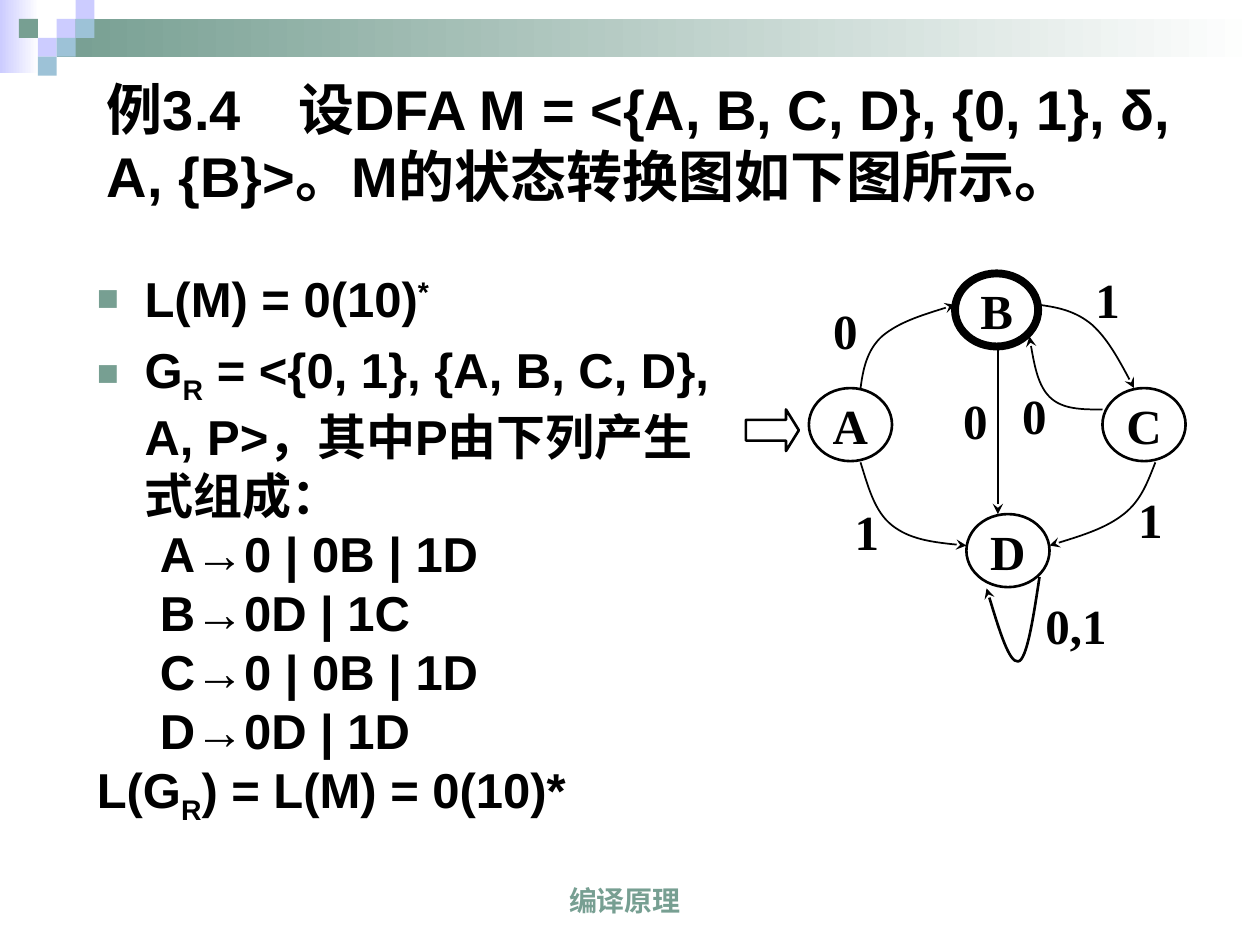
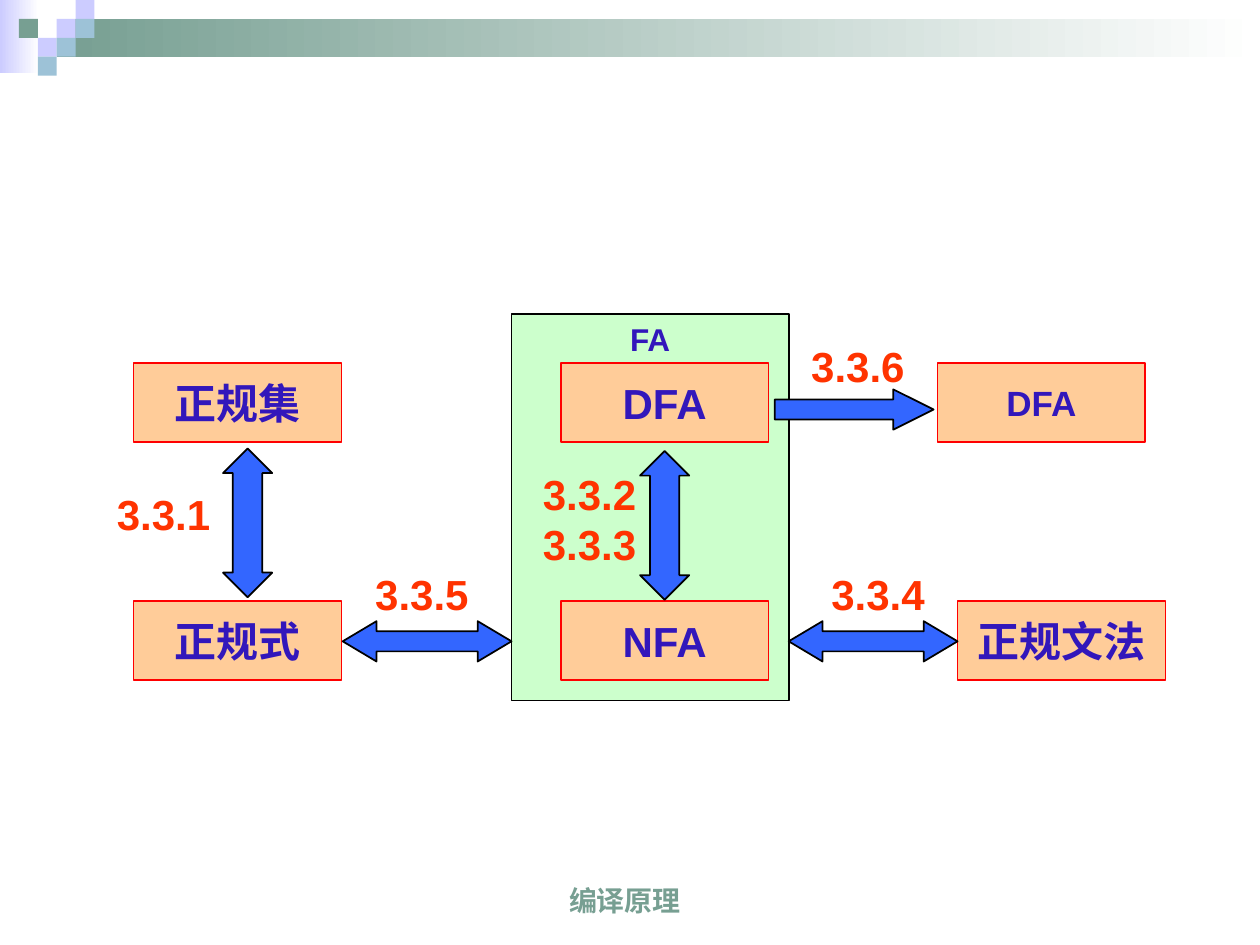
from dataclasses import dataclass

from lxml.etree import SubElement
from pptx import Presentation
from pptx.dml.color import RGBColor
from pptx.enum.shapes import MSO_CONNECTOR, MSO_SHAPE
from pptx.enum.text import MSO_ANCHOR, PP_ALIGN
from pptx.oxml.ns import qn
from pptx.util import Inches, Pt

GREEN, LILAC, SKY = "779F92", "CCCCFF", "9DC2D7"
BLACK, WHITE, RED = "000000", "FFFFFF", "FF0000"
INDIGO, ORANGE, PEACH = "3217BB", "FF3300", "FFCC99"
MINT, BLUE = "CCFFCC", "3366FF"


@dataclass
class Box:
    left: float
    top: float
    width: float
    height: float

    def inner(self, left, top, width, height):
        return Box(self.left + left, self.top + top, width, height)

    def point(self, x, y):
        return Inches(self.left + x), Inches(self.top + y)

    def lengths(self):
        return [Inches(v) for v in (self.left, self.top, self.width, self.height)]


@dataclass
class Style:
    size: float
    color: str = BLACK
    font: str = "Arial"


STATE_TEXT = Style(28, BLACK, "Times New Roman")
NODE_TEXT = Style(24, INDIGO)
SECTION_TEXT = Style(24, ORANGE)


def rgb(color):
    return RGBColor.from_string(color)


def add_span(para, text, style, baseline=0):
    span = para.add_run()
    span.text = text
    font = span.font
    font.size, font.bold, font.name = Pt(style.size), True, style.font
    font.color.rgb = rgb(style.color)
    if baseline:
        span.font._element.set("baseline", str(baseline * 1000))


def write(shape, lines, style, align=PP_ALIGN.CENTER, anchor=MSO_ANCHOR.MIDDLE, wrap=False):
    frame = shape.text_frame
    frame.word_wrap = wrap
    frame.vertical_anchor = anchor
    for number, line in enumerate(lines):
        para = frame.add_paragraph() if number else frame.paragraphs[0]
        para.alignment = align
        add_span(para, line, style)


def add_text(page, box, lines, style, **layout):
    shape = page.shapes.add_textbox(*box.lengths())
    write(shape, lines, style, **layout)
    return shape


def paint(shape, fill=None, line=None, weight=1):
    shape.shadow.inherit = False
    if fill:
        shape.fill.solid()
        shape.fill.fore_color.rgb = rgb(fill)
    else:
        shape.fill.background()
    if line:
        shape.line.color.rgb = rgb(line)
        shape.line.width = Pt(weight)
    else:
        shape.line.fill.background()


def add_figure(page, kind, box, fill=None, line=None, weight=1, adjust=()):
    shape = page.shapes.add_shape(kind, *box.lengths())
    paint(shape, fill, line, weight)
    for index, value in enumerate(adjust):
        shape.adjustments[index] = value
    return shape


def add_fade(page, box, color):
    shape = add_figure(page, MSO_SHAPE.RECTANGLE, box)
    shape.fill.gradient()
    shape.fill.gradient_angle = 0
    for stop, shade in zip(shape.fill.gradient_stops, (color, WHITE)):
        stop.color.rgb = rgb(shade)


def add_arrowhead(shape):
    SubElement(shape.line._get_or_add_ln(), qn("a:tailEnd"), type="stealth")


def add_curve(page, box, points, weight=1):
    start, *rest = [box.point(*point) for point in points]
    builder = page.shapes.build_freeform(*start, scale=1.0)
    builder.add_line_segments(rest, close=False)
    shape = builder.convert_to_shape()
    outline = next(shape._element.iter(qn("a:path")))
    segments = outline.findall(qn("a:lnTo"))
    for first in range(0, len(segments), 3):
        bezier = SubElement(outline, qn("a:cubicBezTo"))
        for segment in segments[first:first + 3]:
            bezier.append(segment[0])
            outline.remove(segment)
    paint(shape, None, BLACK, weight)
    add_arrowhead(shape)


def add_header(page, box):
    add_fade(page, box.inner(0, 0, 0.31, 0.58), LILAC)
    add_fade(page, box.inner(0.45, 0.15, 9.55, 0.3), GREEN)
    tiles = [(3, 1, LILAC), (4, 0, LILAC), (4, 1, SKY), (2, 2, LILAC),
             (1, 1, GREEN), (3, 2, SKY), (2, 3, SKY)]
    for column, row, color in tiles:
        tile = box.inner(column * 0.15, row * 0.15, 0.15, 0.15)
        add_figure(page, MSO_SHAPE.RECTANGLE, tile, color)


def add_page(deck):
    page = deck.slides.add_slide(deck.slide_layouts[6])
    add_header(page, Box(0, 0, 10, 0.6))
    add_text(page, Box(3.19, 6.83, 3.54, 0.5), ["编译原理"], Style(16, GREEN),
             anchor=MSO_ANCHOR.BOTTOM, wrap=True)
    return page


def indent(para, margin, hanging):
    properties = para._p.get_or_add_pPr()
    properties.set("marL", str(Inches(margin)))
    properties.set("indent", str(-Inches(hanging)))
    return properties


def add_bullet(properties):
    color = SubElement(properties, qn("a:buClr"))
    SubElement(color, qn("a:srgbClr"), val=GREEN)
    SubElement(properties, qn("a:buSzPct"), val="75000")
    SubElement(properties, qn("a:buFont"), typeface="Arial")
    SubElement(properties, qn("a:buChar"), char="■")


def add_title(page, box):
    title = add_text(
        page, box,
        ["例3.4\t设DFA M = <{A, B, C, D}, {0, 1}, δ, A, {B}>。M的状态转换图如下图所示。"],
        Style(32), align=PP_ALIGN.LEFT, wrap=True)
    properties = title.text_frame.paragraphs[0]._p.get_or_add_pPr()
    stops = SubElement(properties, qn("a:tabLst"))
    SubElement(stops, qn("a:tab"), pos=str(Inches(1.52)), algn="l")


def add_grammar(page, box):
    bulleted = [
        [("L(M) = 0(10)", 0), ("*", 30)],
        [("G", 0), ("R", -25),
         (" = <{0, 1}, {A, B, C, D}, A, P>，其中P由下列产生式组成：", 0)],
    ]
    rules = ["A→0 | 0B | 1D", "B→0D | 1C", "C→0 | 0B | 1D", "D→0D | 1D"]
    conclusion = [("L(G", 0), ("R", -25), (") = L(M) = 0(10)*", 0)]
    lines = ([(spans, 0.38, 0.38, True) for spans in bulleted]
             + [([(rule, 0)], 0.81, 0.31, False) for rule in rules]
             + [(conclusion, 0.38, 0.38, False)])
    frame = page.shapes.add_textbox(*box.lengths()).text_frame
    frame.word_wrap = True
    for number, (spans, margin, hanging, marked) in enumerate(lines):
        para = frame.add_paragraph() if number else frame.paragraphs[0]
        properties = indent(para, margin, hanging)
        if marked:
            add_bullet(properties)
            para.space_before = Pt(7 if number else 0)
        for text, baseline in spans:
            add_span(para, text, Style(28), baseline)


def add_automaton(page, box):
    states = [("A", 0.5, 1, 1.5), ("B", 1.66, 0.09, 4.5),
              ("C", 2.83, 1, 1.5), ("D", 1.75, 2, 1.5)]
    for name, left, top, weight in states:
        state = add_figure(page, MSO_SHAPE.OVAL, box.inner(left, top, 0.66, 0.58),
                           None, BLACK, weight)
        write(state, [name], STATE_TEXT)

    inputs = [("1", 2.41, 0), ("0", 0.33, 0.25), ("0,1", 2.16, 2.59), ("1", 0.5, 1.84),
              ("1", 2.75, 1.75), ("0", 1.83, 0.92), ("0", 1.36, 0.96)]
    for symbol, left, top in inputs:
        add_text(page, box.inner(left, top, 0.92, 0.58), [symbol], STATE_TEXT)

    loop = [(2.33, 2.5), (2.28, 2.83), (2.23, 3.16), (2.16, 3.17),
            (2.09, 3.18), (2, 2.89), (1.91, 2.59)]
    add_curve(page, box, loop, 1.5)
    transitions = {
        "A to B": [(0.91, 1), (0.93, 0.85), (0.96, 0.7), (1.08, 0.59),
                   (1.21, 0.48), (1.43, 0.41), (1.66, 0.34)],
        "A to D": [(0.91, 1.59), (0.97, 1.78), (1.02, 1.98), (1.16, 2.09),
                   (1.3, 2.2), (1.52, 2.23), (1.75, 2.25)],
        "C to B": [(2.83, 1.17), (2.67, 1.17), (2.51, 1.17), (2.41, 1.07),
                   (2.32, 0.98), (2.28, 0.78), (2.25, 0.59)],
        "B to C": [(2.33, 0.34), (2.48, 0.36), (2.62, 0.39), (2.75, 0.5),
                   (2.87, 0.61), (2.98, 0.81), (3.08, 1)],
        "C to D": [(3.25, 1.59), (3.19, 1.74), (3.14, 1.89), (3, 2),
                   (2.86, 2.11), (2.64, 2.18), (2.41, 2.25)],
    }
    for points in transitions.values():
        add_curve(page, box, points)

    drop = page.shapes.add_connector(MSO_CONNECTOR.STRAIGHT,
                                     *box.point(2, 0.67), *box.point(2, 2))
    drop.line.color.rgb = rgb(BLACK)
    drop.line.width = Pt(1)
    add_arrowhead(drop)
    SubElement(drop._element.spPr, qn("a:effectLst"))
    add_figure(page, MSO_SHAPE.RIGHT_ARROW, box.inner(0, 1.17, 0.42, 0.33),
               None, BLACK, 1.5, (0.5, 0.31))


def add_equivalence_map(page, box):
    automata = add_figure(page, MSO_SHAPE.RECTANGLE, box.inner(3, 0, 2.2, 3.07), MINT, BLACK)
    write(automata, ["FA"], Style(18, INDIGO), anchor=MSO_ANCHOR.TOP)

    upper, lower = 0.39, 2.28
    nodes = [("正规集", 0, upper, NODE_TEXT), ("正规式", 0, lower, NODE_TEXT),
             ("DFA", 3.39, upper, NODE_TEXT), ("NFA", 3.39, lower, NODE_TEXT),
             ("正规文法", 6.54, lower, NODE_TEXT), ("DFA", 6.38, upper, Style(20, INDIGO))]
    for name, left, top, style in nodes:
        node = add_figure(page, MSO_SHAPE.RECTANGLE, box.inner(left, top, 1.65, 0.63),
                          PEACH, RED)
        write(node, [name], style)

    arrows = [
        (MSO_SHAPE.LEFT_RIGHT_ARROW, 1.66, 2.44, 1.34, 0.32, 0.84),
        (MSO_SHAPE.LEFT_RIGHT_ARROW, 5.2, 2.44, 1.34, 0.32, 0.84),
        (MSO_SHAPE.UP_DOWN_ARROW, 0.71, 1.07, 0.39, 1.18, 0.6),
        (MSO_SHAPE.UP_DOWN_ARROW, 4.02, 1.09, 0.39, 1.18, 0.6),
        (MSO_SHAPE.RIGHT_ARROW, 5.09, 0.6, 1.26, 0.32, 1),
    ]
    for kind, left, top, width, height, head in arrows:
        add_figure(page, kind, box.inner(left, top, width, height), BLUE, BLACK,
                   adjust=(0.5, head))

    sections = [(["3.3.1"], -0.23, 1.34), (["3.3.2", "3.3.3"], 3.15, 1.18),
                (["3.3.4"], 5.44, 1.97), (["3.3.5"], 1.82, 1.97), (["3.3.6"], 5.28, 0.16)]
    for lines, left, top in sections:
        add_text(page, box.inner(left, top, 0.94, 0.1 + 0.4 * len(lines)), lines,
                 SECTION_TEXT, align=PP_ALIGN.LEFT, anchor=MSO_ANCHOR.TOP)


def main():
    deck = Presentation()
    deck.slide_width, deck.slide_height = Inches(10), Inches(7.5)

    example = add_page(deck)
    add_grammar(example, Box(0.67, 2.08, 5.17, 4.75))
    add_title(example, Box(0.75, 0.5, 9, 1.25))
    add_automaton(example, Box(5.92, 2.08, 3.67, 3.18))

    summary = add_page(deck)
    add_equivalence_map(summary, Box(1.06, 2.49, 8.19, 3.07))

    deck.save("out.pptx")


if __name__ == "__main__":
    main()
